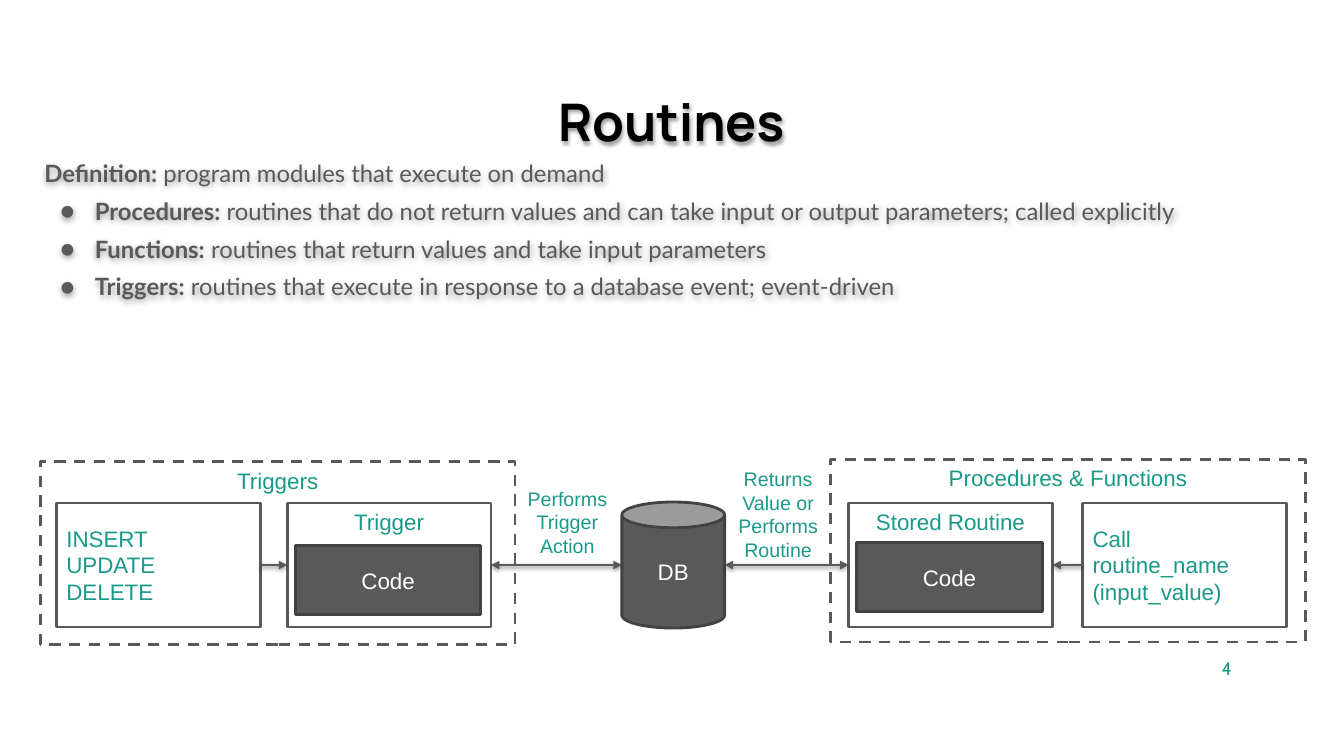
import pptx
import pptx.util
import pptx.dml.color
import pptx.enum.dml
import pptx.enum.shapes
import pptx.enum.text
import pptx.oxml
import pptx.oxml.ns
from dataclasses import dataclass

Pt = pptx.util.Pt
Align = pptx.enum.text.PP_ALIGN
Anchor = pptx.enum.text.MSO_ANCHOR
Preset = pptx.enum.shapes.MSO_SHAPE


@dataclass(frozen=True)
class Theme:
    black: str = "000000"
    white: str = "FFFFFF"
    gray: str = "595959"
    dark: str = "424242"
    teal: str = "1A9988"
    title_size: int = 37
    body_size: int = 17
    shape_size: int = 16
    label_size: int = 14
    number_size: int = 13
    line_width: int = 2


THEME = Theme()
BOX_SIZE = (145.5, 88.6)
CODE_SIZE = (132.5, 49.7)
GROUP_SIZE = (339.1, 130.3)
BOX_TOP = 359.3
MIDDLE = BOX_TOP + BOX_SIZE[1] / 2


def color(value):
    return pptx.dml.color.RGBColor.from_string(value)


def element(xml):
    namespace = pptx.oxml.ns.nsdecls("a")
    return pptx.oxml.parse_xml(xml.replace("NS", namespace, 1))


def place(shape, left, top, width, height):
    shape.left, shape.top = Pt(left), Pt(top)
    shape.width, shape.height = Pt(width), Pt(height)


def add_shadow(shape):
    shape._element.spPr.append(element(
        '<a:effectLst NS><a:outerShdw blurRad="39370" dist="20320" dir="5400000" rotWithShape="0">'
        '<a:srgbClr val="000000"><a:alpha val="38000"/></a:srgbClr></a:outerShdw></a:effectLst>'))


def style_run(run, name, size, value, bold=False):
    run.font.name = name
    run.font.size = Pt(size)
    run.font.bold = bold
    run.font.color.rgb = color(value)


def write(shape, text, size, value, align=Align.CENTER, anchor=Anchor.MIDDLE, name="Arial", bold=False):
    frame = shape.text_frame
    frame.text = text
    frame.word_wrap = True
    frame.auto_size = pptx.enum.text.MSO_AUTO_SIZE.NONE
    frame.vertical_anchor = anchor
    for paragraph in frame.paragraphs:
        paragraph.alignment = align
        for run in paragraph.runs:
            style_run(run, name, size, value, bold)


def add_title(slide, text):
    title = slide.shapes.title
    place(title, 72, 48.2, 815, 76.3)
    write(title, text, THEME.title_size, THEME.black, name="Manrope", bold=True)
    add_shadow(title)


def add_definitions(slide, definitions):
    body = slide.placeholders[1]
    place(body, 24.5, 106.6, 910.8, 197.3)
    frame = body.text_frame
    frame.auto_size = pptx.enum.text.MSO_AUTO_SIZE.NONE
    frame.vertical_anchor = Anchor.TOP
    for index, (term, meaning) in enumerate(definitions):
        paragraph = frame.add_paragraph() if index else frame.paragraphs[0]
        paragraph.line_spacing = 1.15
        paragraph.space_before = Pt(3.6 if index else 0)
        properties = paragraph._p.get_or_add_pPr()
        properties.set("marL", str(Pt(36 if index else 0)))
        properties.set("indent", str(Pt(-24.5 if index else 0)))
        if index:
            properties.append(element(f'<a:buClr NS><a:srgbClr val="{THEME.gray}"/></a:buClr>'))
            properties.append(element('<a:buFont NS typeface="Lato"/>'))
            properties.append(element('<a:buChar NS char="●"/>'))
        else:
            properties.append(element("<a:buNone NS/>"))
        for text, bold in ((term, True), (" " + meaning, False)):
            run = paragraph.add_run()
            run.text = text
            style_run(run, "Lato", THEME.body_size, THEME.gray, bold)
    add_shadow(body)


def add_label(slide, text, bounds, size=THEME.label_size, align=Align.CENTER, name="Arial"):
    label = slide.shapes.add_textbox(*map(Pt, bounds))
    write(label, text, size, THEME.teal, align, name=name)


def add_block(slide, preset, bounds, fill, line):
    shape = slide.shapes.add_shape(preset, *map(Pt, bounds))
    shape.shadow.inherit = False
    if fill:
        shape.fill.solid()
        shape.fill.fore_color.rgb = color(fill)
    else:
        shape.fill.background()
    shape.line.color.rgb = color(line)
    shape.line.width = Pt(THEME.line_width)
    return shape


def add_box(slide, text, left, align=Align.CENTER, anchor=Anchor.TOP):
    box = add_block(slide, Preset.RECTANGLE, (left, BOX_TOP, *BOX_SIZE), THEME.white, THEME.gray)
    write(box, text, THEME.shape_size, THEME.teal, align, anchor)
    return box


def add_dark(slide, text, preset, bounds):
    shape = add_block(slide, preset, bounds, THEME.gray, THEME.dark)
    write(shape, text, THEME.shape_size, THEME.white)
    return shape


def add_group_frame(slide, text, left, top):
    frame = add_block(slide, Preset.RECTANGLE, (left, top, *GROUP_SIZE), None, THEME.gray)
    frame.line.dash_style = pptx.enum.dml.MSO_LINE.DASH
    write(frame, text, THEME.shape_size, THEME.teal, anchor=Anchor.TOP)


def add_arrow(slide, start, start_side, end=None, end_side=None, end_x=0, both=False):
    straight = pptx.enum.shapes.MSO_CONNECTOR.STRAIGHT
    arrow = slide.shapes.add_connector(straight, 0, 0, Pt(end_x), Pt(MIDDLE))
    arrow.begin_connect(start, start_side)
    if end is not None:
        arrow.end_connect(end, end_side)
    arrow.line.color.rgb = color(THEME.gray)
    arrow.line.width = Pt(THEME.line_width)
    line = arrow.line._get_or_add_ln()
    if both:
        line.append(element('<a:headEnd NS type="triangle"/>'))
    line.append(element('<a:tailEnd NS type="triangle"/>'))
    add_shadow(arrow)


def main():
    presentation = pptx.Presentation()
    presentation.slide_width, presentation.slide_height = Pt(960), Pt(540)
    slide = presentation.slides.add_slide(presentation.slide_layouts[1])

    add_title(slide, "Routines")
    add_definitions(slide, (
        ("Definition:", "program modules that execute on demand"),
        ("Procedures:", "routines that do not return values and can take input or output parameters; called explicitly"),
        ("Functions:", "routines that return values and take input parameters"),
        ("Triggers:", "routines that execute in response to a database event; event-driven"),
    ))
    add_label(slide, "4", (828, 463, 59, 28.8), THEME.number_size, Align.RIGHT, "Cabin")

    call = add_box(slide, "Call\vroutine_name\n(input_value)", 773.3, Align.LEFT, Anchor.MIDDLE)
    routine = add_box(slide, "Stored Routine", 606.2)
    add_dark(slide, "Code", Preset.RECTANGLE, (612, 387.4, *CODE_SIZE))
    database_left, database_width = 444.2, 73.4
    add_dark(slide, "DB", Preset.CAN, (database_left, 358.6, database_width, 90))
    events = add_box(slide, "INSERT\nUPDATE\nDELETE", 40.3, Align.LEFT, Anchor.MIDDLE)
    trigger = add_box(slide, "Trigger", 205.2)
    add_dark(slide, "Code", Preset.RECTANGLE, (211, 389.5, *CODE_SIZE))

    add_arrow(slide, routine, 1, end_x=database_left + database_width, both=True)
    add_arrow(slide, trigger, 3, end_x=database_left, both=True)
    add_arrow(slide, call, 1, routine, 3)
    add_arrow(slide, events, 3, trigger, 1)

    add_label(slide, "Performs Trigger Action", (368.6, 342.7, 73.4, 60.5))
    add_label(slide, "Returns Value or Performs Routine", (518.4, 330.5, 74.9, 73.4))
    add_group_frame(slide, "Procedures & Functions", 593.3, 328.3)
    add_group_frame(slide, "Triggers", 28.8, 329.8)

    presentation.save("out.pptx")


if __name__ == "__main__":
    main()
